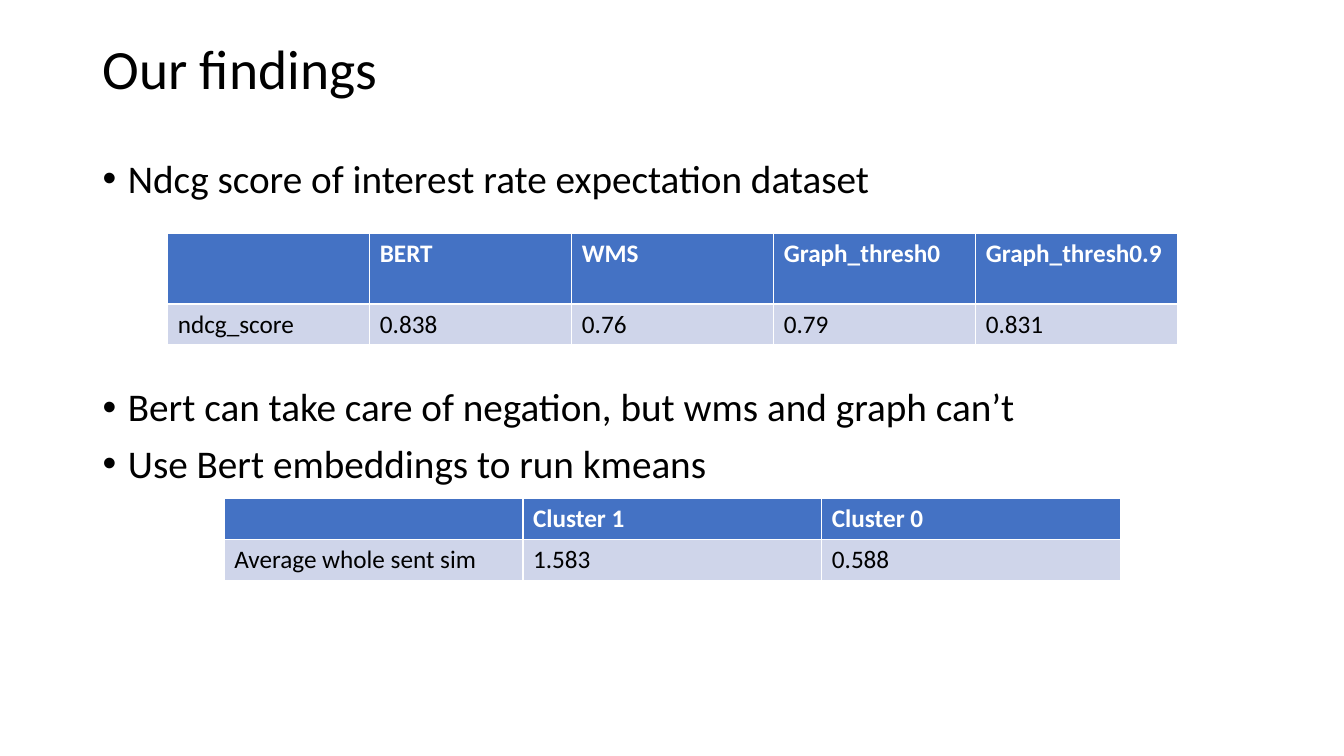
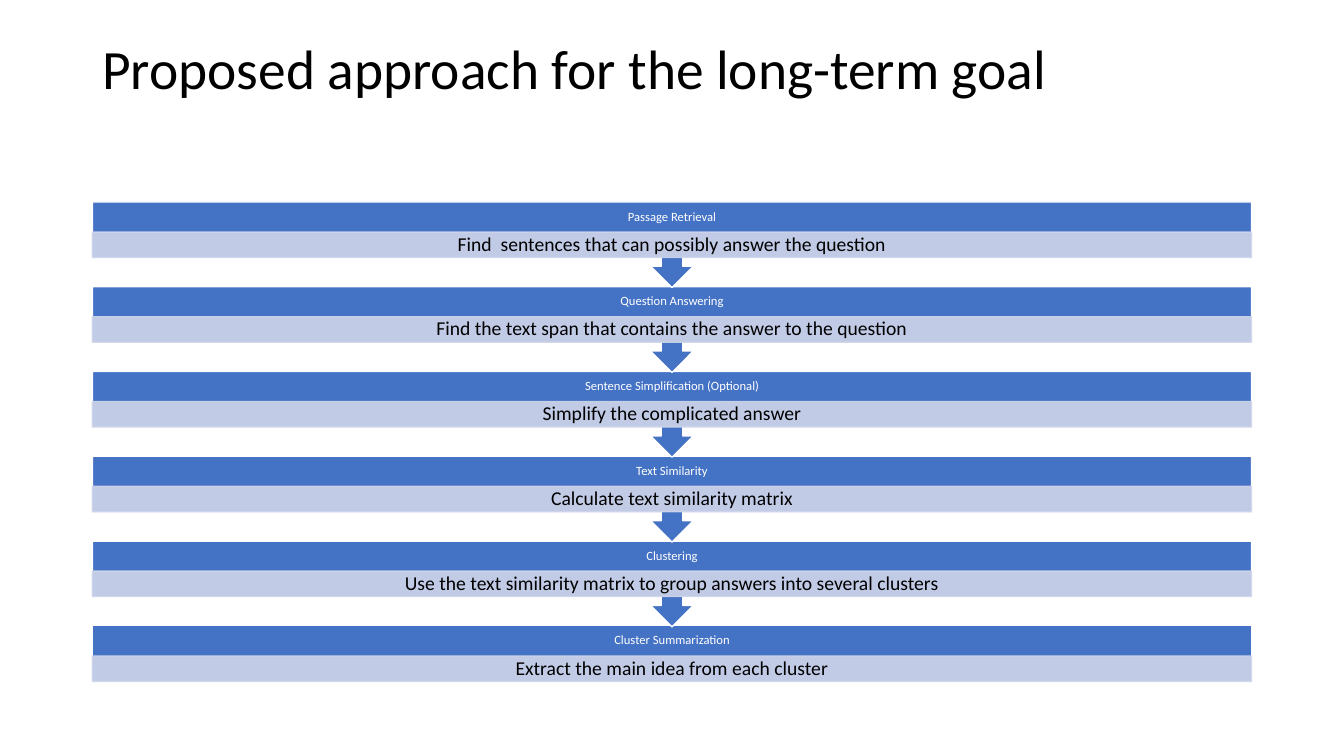
"""Build two slides: ranking findings in tables and a six-step approach."""
from dataclasses import dataclass

from lxml.etree import SubElement
from pptx import Presentation
from pptx.dml.color import RGBColor
from pptx.enum.shapes import MSO_SHAPE as Shape
from pptx.enum.text import MSO_ANCHOR as Anchor, MSO_AUTO_SIZE as AutoSize, PP_ALIGN as Align
from pptx.oxml.ns import qn
from pptx.util import Cm, Pt

FONT = "Calibri"
BLUE, PALE, WHITE, BLACK = "4472C4", "CFD5EA", "FFFFFF", "000000"
LEFT, WIDTH = 2.33, 29.21
TITLE_LAYOUT, LIST_LAYOUT = 5, 1
STEP_TOP, LAST_STEP_TOP = 5.09, 15.77
CALLOUT_H, LAST_H, LABEL_H, DETAIL_H = 2.16, 1.4, 0.76, 0.64


@dataclass
class Bullet:
    text: str
    before: float = 10


@dataclass
class Grid:
    left: float
    top: float
    col_width: float
    row_heights: list[float]
    rows: list[list[str]]


@dataclass
class Step:
    label: str
    detail: str


BULLETS = [
    Bullet("Ndcg score of interest rate expectation dataset"),
    Bullet("Bert can take care of negation, but wms and graph can’t", before=133),
    Bullet("Use Bert embeddings to run kmeans"),
]
GRIDS = [
    Grid(4.23, 5.88, 5.09, [1.78, 1.03], [
        ["", "BERT", "WMS", "Graph_thresh0", "Graph_thresh0.9"],
        ["ndcg_score", "0.838", "0.76", "0.79", "0.831"],
    ]),
    Grid(5.65, 12.57, 7.53, [1.03, 1.03], [
        ["", "Cluster 1", "Cluster 0"],
        ["Average whole sent sim", "1.583", "0.588"],
    ]),
]
STEPS = [
    Step("Passage Retrieval", "Find  sentences that can possibly answer the question"),
    Step("Question Answering", "Find the text span that contains the answer to the question"),
    Step("Sentence Simplification (Optional)", "Simplify the complicated answer"),
    Step("Text Similarity", "Calculate text similarity matrix"),
    Step("Clustering", "Use the text similarity matrix to group answers into several clusters"),
    Step("Cluster Summarization", "Extract the main idea from each cluster"),
]


def rgb(value: str) -> RGBColor:
    return RGBColor.from_string(value)


def write(p, text: str, *, size: float, color: str = BLACK, bold: bool = False,
          align=Align.LEFT, spacing: float = 0.9) -> None:
    p.alignment, p.line_spacing = align, spacing
    r = p.add_run()
    r.text = text
    r.font.name, r.font.size, r.font.bold = FONT, Pt(size), bold
    r.font.color.rgb = rgb(color)


def place(sp, left: float, top: float, width: float, height: float) -> None:
    sp.left, sp.top, sp.width, sp.height = Cm(left), Cm(top), Cm(width), Cm(height)


def frame(sp, pad_x: float, pad_y: float):
    tf = sp.text_frame
    tf.word_wrap, tf.auto_size, tf.vertical_anchor = True, AutoSize.NONE, Anchor.MIDDLE
    tf.margin_left = tf.margin_right = Cm(pad_x)
    tf.margin_top = tf.margin_bottom = Cm(pad_y)
    return tf


def add_slide(prs, layout: int, title: str):
    s = prs.slides.add_slide(prs.slide_layouts[layout])
    sp = s.shapes.title
    place(sp, LEFT, 1.02, WIDTH, 1.55)
    write(frame(sp, 0.25, 0.13).paragraphs[0], title, size=39.6)
    return s


def add_bullets(s, bullets: list[Bullet]) -> None:
    sp = s.placeholders[1]
    place(sp, LEFT, 3.89, WIDTH, 13.28)
    tf = sp.text_frame
    tf.auto_size = AutoSize.NONE
    for i, bullet in enumerate(bullets):
        p = tf.add_paragraph() if i else tf.paragraphs[0]
        write(p, bullet.text, size=28)
        p.space_before = Pt(bullet.before)
        pPr = p._p.get_or_add_pPr()
        pPr.set("marL", str(Cm(0.64)))
        pPr.set("indent", str(Cm(-0.64)))


def add_grid(s, grid: Grid) -> None:
    n_cols = len(grid.rows[0])
    table = s.shapes.add_table(
        len(grid.rows), n_cols, Cm(grid.left), Cm(grid.top),
        Cm(grid.col_width * n_cols), Cm(sum(grid.row_heights))).table
    for col in table.columns:
        col.width = Cm(grid.col_width)
    for i, (row, height) in enumerate(zip(grid.rows, grid.row_heights)):
        header = i == 0
        table.rows[i].height = Cm(height)
        for cell, text in zip(table.rows[i].cells, row):
            cell.fill.solid()
            cell.fill.fore_color.rgb = rgb(BLUE if header else PALE)
            if text:
                write(cell.text_frame.paragraphs[0], text, size=18, bold=header,
                      color=WHITE if header else BLACK, spacing=1.0)


def add_block(s, kind, top: float, height: float, *, fill: str, line: str, alpha: int = 100):
    sp = s.shapes.add_shape(kind, Cm(LEFT), Cm(top), Cm(WIDTH), Cm(height))
    sp.shadow.inherit = False
    sp.fill.solid()
    sp.fill.fore_color.rgb = rgb(fill)
    sp.line.color.rgb = rgb(line)
    sp.line.width = Pt(1)
    if alpha < 100:
        for color in sp._element.spPr.iter(qn("a:srgbClr")):
            SubElement(color, qn("a:alpha")).set("val", str(alpha * 1000))
    return sp


def add_step(s, step: Step, top: float, last: bool) -> None:
    kind, height = (Shape.RECTANGLE, LAST_H) if last else (Shape.UP_ARROW_CALLOUT, CALLOUT_H)
    block = add_block(s, kind, top, height, fill=BLUE, line=WHITE)
    block.rotation = 0 if last else 180
    label = s.shapes.add_textbox(Cm(LEFT), Cm(top), Cm(WIDTH), Cm(LABEL_H))
    write(frame(label, 0.18, 0.18).paragraphs[0], step.label,
          size=9, color=WHITE, align=Align.CENTER)
    detail = add_block(s, Shape.RECTANGLE, top + LABEL_H, DETAIL_H,
                       fill=PALE, line=PALE, alpha=90)
    write(frame(detail, 0.28, 0.05).paragraphs[0], step.detail, size=14, align=Align.CENTER)


def main() -> None:
    prs = Presentation()
    prs.slide_width, prs.slide_height = Cm(33.87), Cm(19.05)

    s = add_slide(prs, LIST_LAYOUT, "Our findings")
    add_bullets(s, BULLETS)
    for grid in GRIDS:
        add_grid(s, grid)

    s = add_slide(prs, TITLE_LAYOUT, "Proposed approach for the long-term goal")
    last = len(STEPS) - 1
    pitch = (LAST_STEP_TOP - STEP_TOP) / last
    for i in reversed(range(len(STEPS))):
        add_step(s, STEPS[i], STEP_TOP + i * pitch, i == last)

    prs.save("out.pptx")


main()
